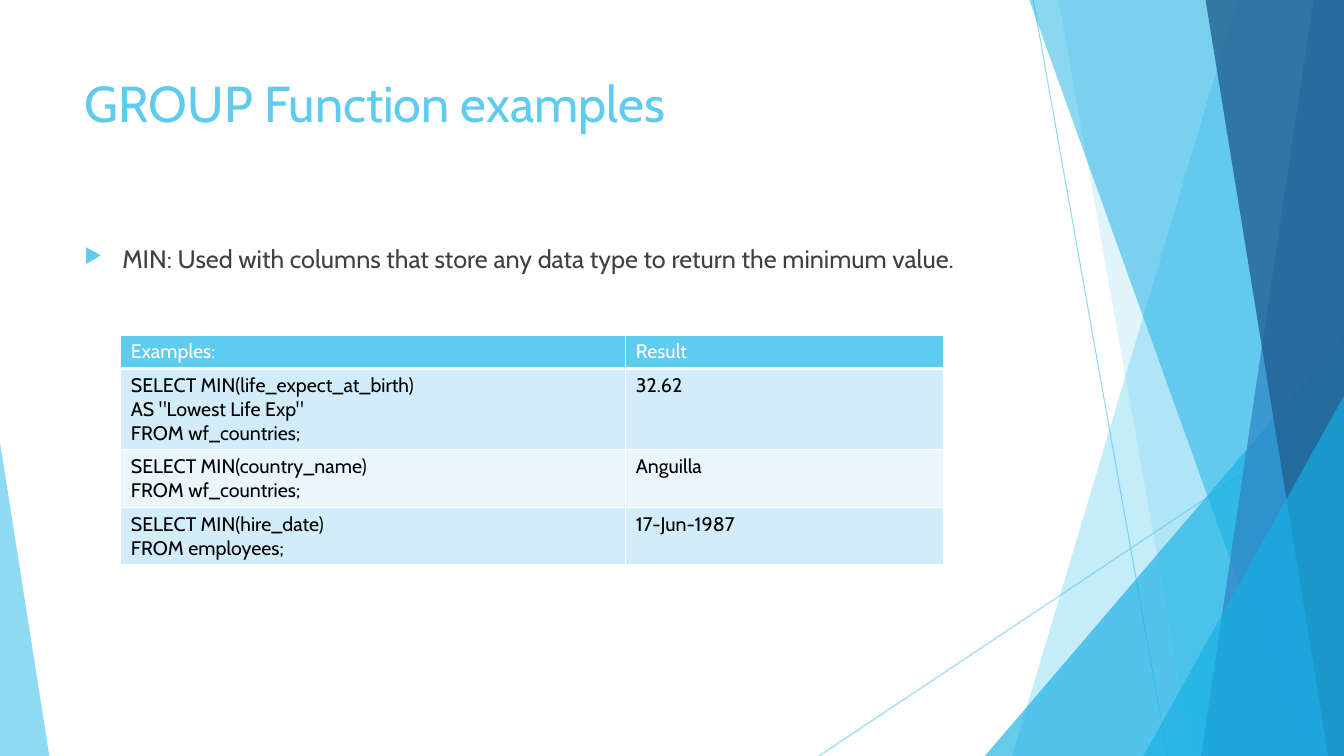
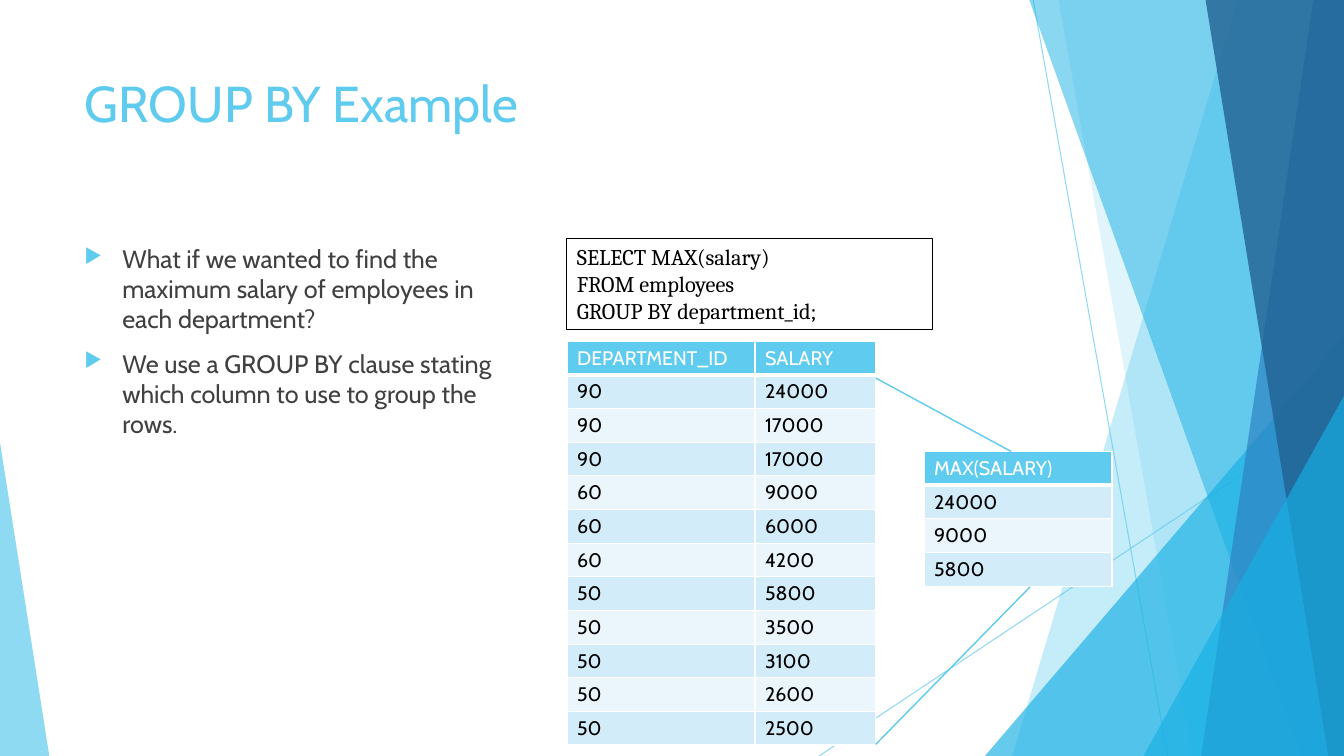
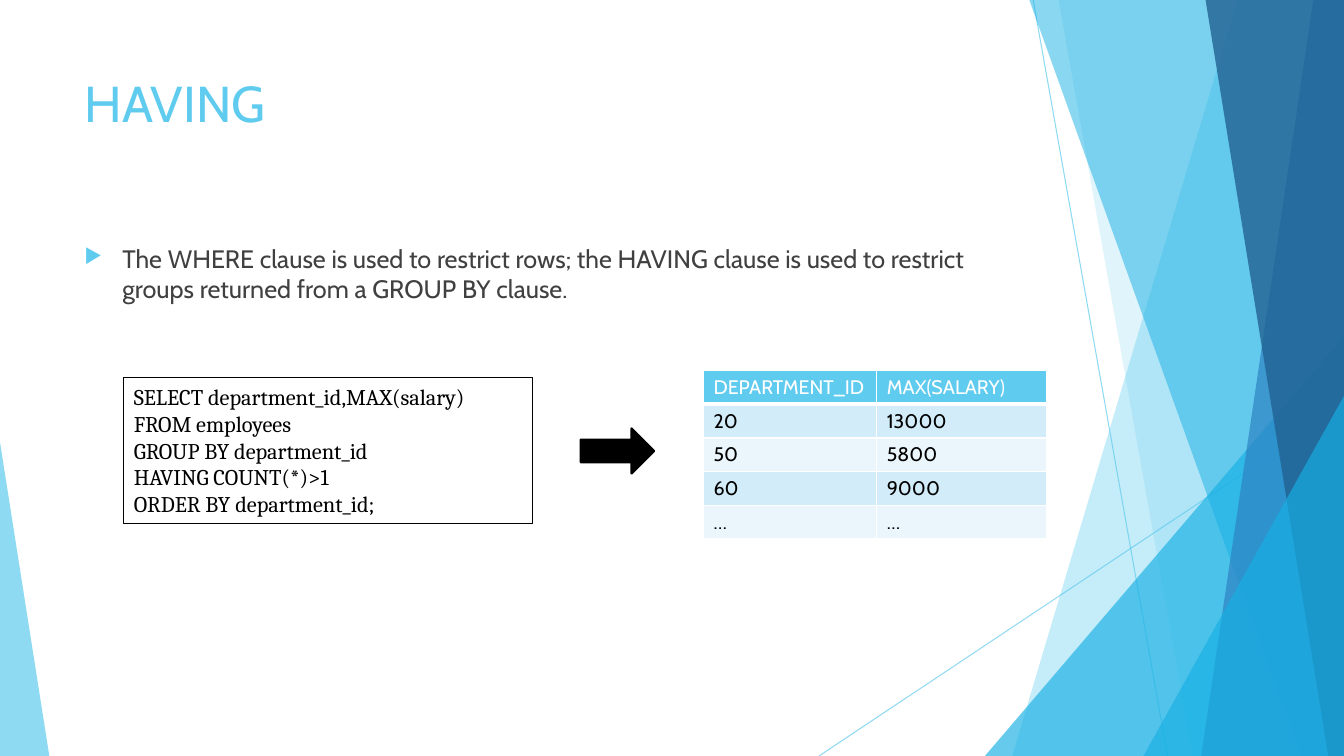
from lxml.etree import SubElement
from pptx import Presentation
from pptx.dml.color import RGBColor
from pptx.enum.shapes import MSO_CONNECTOR, MSO_SHAPE
from pptx.enum.text import MSO_ANCHOR, MSO_AUTO_SIZE, PP_ALIGN
from pptx.oxml.ns import qn
from pptx.util import Emu, Pt

PX = 9525
SLIDE_W, SLIDE_H = 1280, 720
BLEED = -1

SKY = RGBColor(0x5F, 0xCB, 0xEF)
CYAN = RGBColor(0x17, 0xB0, 0xE4)
BLUE = RGBColor(0x2E, 0x83, 0xC3)
NAVY = RGBColor(0x22, 0x62, 0x92)
GREY = RGBColor(0x40, 0x40, 0x40)
BLACK = RGBColor(0, 0, 0)
WHITE = RGBColor(0xFF, 0xFF, 0xFF)
BANDS = (RGBColor(0xD2, 0xEC, 0xF9), RGBColor(0xEA, 0xF6, 0xFC))

SANS, SERIF = "Cabin", "Cambria"

TITLE_BOX = (71, 64, 902, 138)
BODY_BOX = (71, 227, 902, 407)
HALF_BODY_BOX = (71, 227, 422, 407)


def px(*lengths):
    return [Emu(n * PX) for n in lengths]


def write_text(tf, lines, size=14, font=SANS, color=BLACK, before=None, bullet=None):
    """Fill a text frame with one paragraph per line."""
    tf.word_wrap = True
    for i, line in enumerate(lines):
        p = tf.paragraphs[0] if i == 0 else tf.add_paragraph()
        p.alignment = PP_ALIGN.LEFT
        if before is not None:
            p.space_before = Pt(before)
        if bullet:
            add_bullet(p, bullet)
        r = p.add_run()
        r.text = line
        r.font.size, r.font.name, r.font.bold = Pt(size), font, False
        r.font.color.rgb = color


def add_bullet(p, char, indent=36):
    pPr = p._p.get_or_add_pPr()
    pPr.set("marL", str(indent * PX))
    pPr.set("indent", str(-indent * PX))
    SubElement(SubElement(pPr, qn("a:buClr")), qn("a:srgbClr"), val=str(SKY))
    SubElement(pPr, qn("a:buSzPct"), val="80000")
    SubElement(pPr, qn("a:buChar"), char=char)


def set_opacity(sp, percent):
    for color in sp.element.iter(qn("a:srgbClr")):
        SubElement(color, qn("a:alpha"), val=str(percent * 1000))


def add_line(shapes, start, end, width=1):
    line = shapes.add_connector(MSO_CONNECTOR.STRAIGHT, *px(*start, *end))
    line.line.color.rgb = SKY
    line.line.width = Pt(width)
    SubElement(line.element.spPr, qn("a:effectLst"))
    return line


def style_facet(sp, color, opacity):
    sp.shadow.inherit = False
    sp.fill.solid()
    sp.fill.fore_color.rgb = color
    sp.line.fill.background()
    set_opacity(sp, opacity)


def add_band(shapes, top_left, bottom_left, color, opacity):
    """Full-height facet with a slanted left side, reaching the right edge."""
    builder = shapes.build_freeform(top_left, BLEED, scale=PX)
    builder.add_line_segments(
        [(SLIDE_W, BLEED), (SLIDE_W, SLIDE_H), (bottom_left, SLIDE_H)])
    style_facet(builder.convert_to_shape(), color, opacity)


def add_corner(shapes, x, y, width, apex, color, opacity):
    """Right triangle standing on the bottom edge; apex 0 is left, 1 right."""
    sp = shapes.add_shape(MSO_SHAPE.ISOSCELES_TRIANGLE, *px(x, y, width, SLIDE_H - y))
    sp.adjustments[0] = apex
    style_facet(sp, color, opacity)


def add_backdrop(slide):
    """Draw the facets as a group and hand it to the slide's layout."""
    group = slide.shapes.add_group_shape()
    shapes = group.shapes
    for start, end in (((984, 0), (1112, 720)), ((1280, 387), (780, 720))):
        set_opacity(add_line(shapes, start, end, width=0.75), 70)
    add_band(shapes, 1179, 964, SKY, 36)
    add_band(shapes, 1008, 1136, SKY, 20)
    add_corner(shapes, 938, 320, 342, 1, CYAN, 66)
    add_band(shapes, 980, 1239, CYAN, 50)
    add_band(shapes, 1251, 1144, BLUE, 70)
    add_band(shapes, 1148, 1265, NAVY, 80)
    add_corner(shapes, 1089, 377, 191, 1, CYAN, 66)
    add_corner(shapes, 0, 421, 47, 0, SKY, 70)
    for n, props in enumerate(group.element.iter(qn("p:cNvPr")), 100):
        props.set("id", str(n))
    slide.slide_layout.shapes.element.insert(2, group.element)


def add_title(slide, text):
    title = slide.shapes.title
    title.left, title.top, title.width, title.height = px(*TITLE_BOX)
    tf = title.text_frame
    tf.vertical_anchor = MSO_ANCHOR.TOP
    tf.auto_size = MSO_AUTO_SIZE.NONE
    write_text(tf, [text], size=36, color=SKY)


def add_bullets(slide, box, lines):
    body = slide.shapes.add_textbox(*px(*box))
    write_text(body.text_frame, lines, size=18, color=GREY, before=10, bullet="▶")


def add_code(slide, box, code):
    sp = slide.shapes.add_textbox(*px(*box))
    sp.line.color.rgb = BLACK
    sp.line.width = Pt(0.75)
    write_text(sp.text_frame, code.split("\n"), size=16, font=SERIF)


def set_borders(cell, bottom):
    tcPr = cell._tc.get_or_add_tcPr()
    for i, (side, width) in enumerate((("L", 1), ("R", 1), ("T", 1), ("B", bottom))):
        ln = tcPr.makeelement(qn("a:ln" + side), {"w": str(Pt(width))})
        SubElement(SubElement(ln, qn("a:solidFill")), qn("a:srgbClr"), val=str(WHITE))
        tcPr.insert(i, ln)


def add_table(slide, x, y, widths, rows):
    """Banded table; each row is as high as its longest cell has lines."""
    heights = [10 + 45 * max(len(text.split("\n")) for text in row) // 2
               for row in rows]
    table = slide.shapes.add_table(
        len(rows), len(widths), *px(x, y, sum(widths), sum(heights))).table
    table.horz_banding = False
    for column, width in zip(table.columns, px(*widths)):
        column.width = width
    for r, row in enumerate(rows):
        table.rows[r].height = Emu(heights[r] * PX)
        header = r == 0
        for c, text in enumerate(row):
            cell = table.cell(r, c)
            cell.fill.solid()
            cell.fill.fore_color.rgb = SKY if header else BANDS[(r - 1) % 2]
            set_borders(cell, bottom=3 if header else 1)
            write_text(cell.text_frame, text.split("\n"),
                       color=WHITE if header else BLACK)


def add_arrow(slide, box):
    sp = slide.shapes.add_shape(MSO_SHAPE.RIGHT_ARROW, *px(*box))
    sp.shadow.inherit = False
    sp.fill.solid()
    sp.fill.fore_color.rgb = BLACK
    sp.line.color.rgb = BLACK
    sp.line.width = Pt(1.5)


def fill_min_slide(slide):
    add_title(slide, "GROUP Function examples")
    add_bullets(slide, BODY_BOX, [
        "MIN: Used with columns that store any data type to return the minimum value."])
    add_table(slide, 115, 319, (481, 303), [
        ("Examples:", "Result"),
        ('SELECT MIN(life_expect_at_birth)\nAS "Lowest Life Exp"\nFROM wf_countries;',
         "32.62"),
        ("SELECT MIN(country_name)\nFROM wf_countries;", "Anguilla"),
        ("SELECT MIN(hire_date)\nFROM employees;", "17-Jun-1987"),
    ])


def fill_group_by_slide(slide):
    salaries = {
        "90": ("24000", "17000", "17000"),
        "60": ("9000", "6000", "4200"),
        "50": ("5800", "3500", "3100", "2600", "2500"),
    }
    add_title(slide, "GROUP BY Example")
    add_bullets(slide, HALF_BODY_BOX, [
        "What if we wanted to find the maximum salary of employees in each department?",
        "We use a GROUP BY clause stating which column to use to group the rows.",
    ])
    add_table(slide, 540, 325, (179, 115), [
        ("DEPARTMENT_ID", "SALARY"),
        *((dept, pay) for dept, pays in salaries.items() for pay in pays),
    ])
    add_code(slide, (540, 227, 348, 87),
             "SELECT MAX(salary)\nFROM employees\nGROUP BY department_id;")
    add_table(slide, 880, 430, (179,),
              [("MAX(SALARY)",), *((pays[0],) for pays in salaries.values())])
    add_line(slide.shapes, (963, 430), (834, 360))
    add_line(slide.shapes, (981, 559), (834, 709))


def fill_having_slide(slide):
    add_title(slide, "HAVING")
    add_bullets(slide, BODY_BOX, [
        "The WHERE clause is used to restrict rows; the HAVING clause is used to "
        "restrict groups returned from a GROUP BY clause."])
    add_code(slide, (118, 360, 389, 139),
             "SELECT department_id,MAX(salary)\nFROM employees\n"
             "GROUP BY department_id\nHAVING COUNT(*)>1\nORDER BY department_id;")
    add_table(slide, 670, 353, (165, 162), [
        ("DEPARTMENT_ID", "MAX(SALARY)"),
        ("20", "13000"),
        ("50", "5800"),
        ("60", "9000"),
        ("…", "…"),
    ])
    add_arrow(slide, (553, 408, 70, 43))


def main():
    prs = Presentation()
    prs.slide_width, prs.slide_height = px(SLIDE_W, SLIDE_H)
    title_only = prs.slide_layouts[5]
    for i, fill in enumerate((fill_min_slide, fill_group_by_slide, fill_having_slide)):
        slide = prs.slides.add_slide(title_only)
        if i == 0:
            add_backdrop(slide)
        fill(slide)
    prs.save("out.pptx")


if __name__ == "__main__":
    main()
